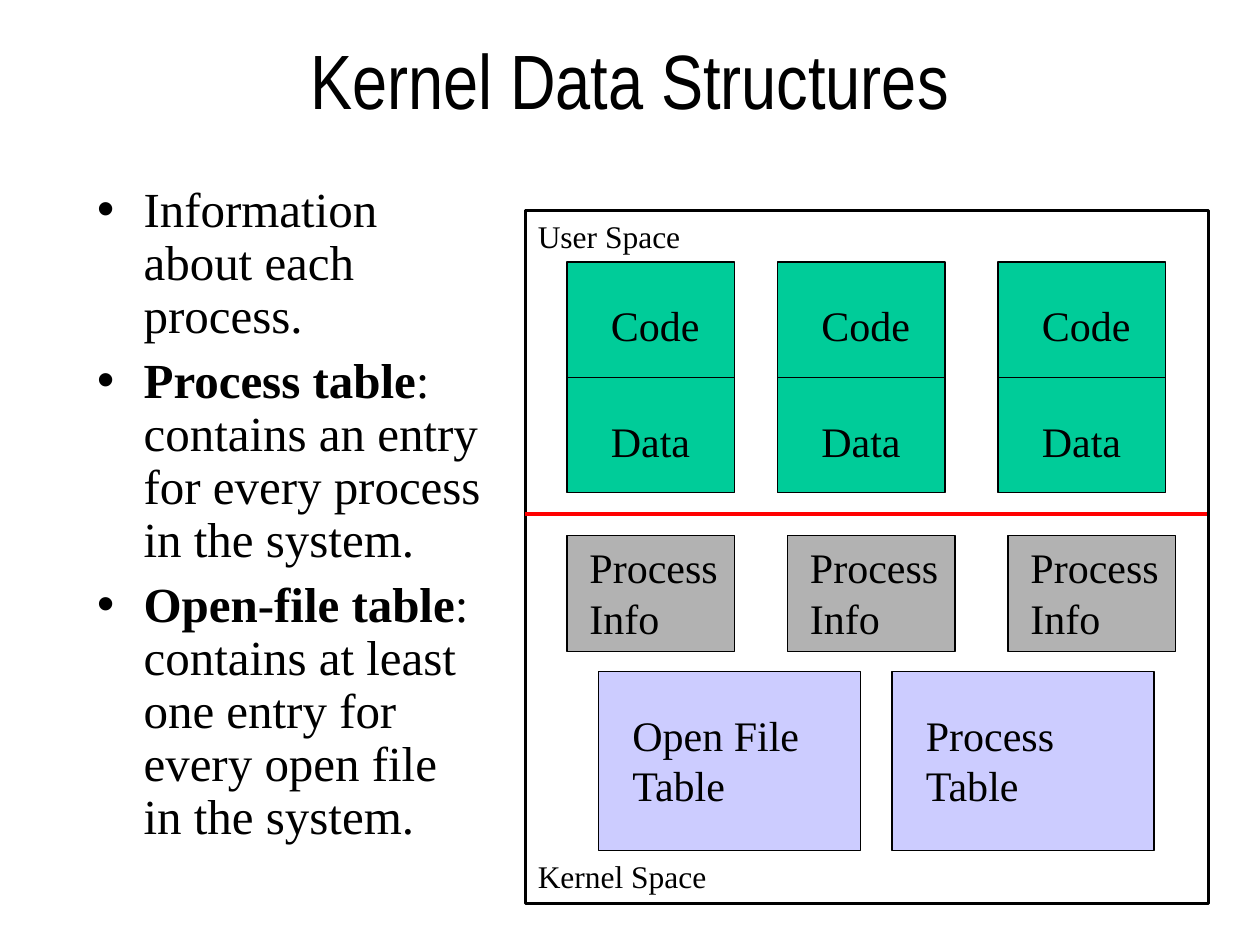
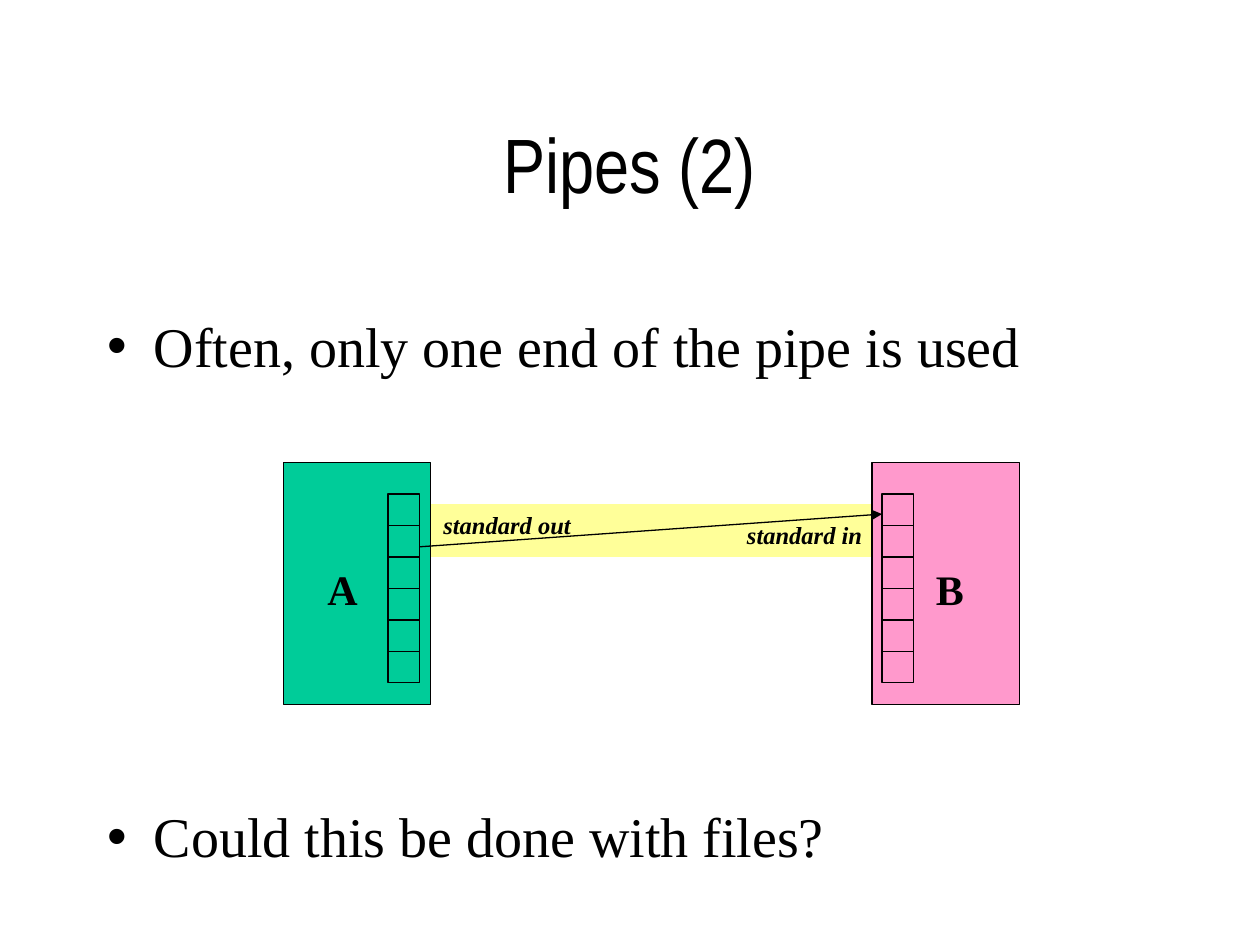
import pptx
import pptx.dml.color
import pptx.enum.shapes
import pptx.enum.text
import pptx.oxml
import pptx.oxml.ns
import pptx.util
from pptx.util import Inches

TITLE_FONT = "Arial Narrow"
BODY_FONT = "Times New Roman"
BLACK = "000000"
GREEN = "00CC99"
GRAY = "B2B2B2"
LAVENDER = "CCCCFF"
PINK = "FF99CC"
YELLOW = "FFFF99"
RED = "FF0000"
THIN, THICK = 0.75, 2


def color(value):
    return pptx.dml.color.RGBColor.from_string(value)


def style_font(font, size, name=BODY_FONT, bold=None, italic=None):
    font.name = name
    font.size = pptx.util.Pt(size)
    font.color.rgb = color(BLACK)
    font.bold = bold
    font.italic = italic


def place(shape, left, top, width, height):
    shape.left, shape.top = Inches(left), Inches(top)
    shape.width, shape.height = Inches(width), Inches(height)


def add_slide(presentation, title_text, title_top):
    slide = presentation.slides.add_slide(presentation.slide_layouts[1])
    title = slide.shapes.title
    place(title, 0.75, title_top, 8.5, 1.25)
    title.text_frame.text = title_text
    title.text_frame.vertical_anchor = pptx.enum.text.MSO_ANCHOR.MIDDLE
    title.text_frame.auto_size = pptx.enum.text.MSO_AUTO_SIZE.NONE
    paragraph = title.text_frame.paragraphs[0]
    paragraph.alignment = pptx.enum.text.PP_ALIGN.CENTER
    style_font(paragraph.font, 44, TITLE_FONT)
    return slide


def fill_bullets(slide, box, items, size, gap, line_spacing=1.0):
    """Each item is a (bold lead, plain rest) pair; gap is points before it."""
    body = slide.placeholders[1]
    place(body, *box)
    frame = body.text_frame
    frame.auto_size = pptx.enum.text.MSO_AUTO_SIZE.NONE
    for index, (lead, rest) in enumerate(items):
        paragraph = frame.add_paragraph() if index else frame.paragraphs[0]
        style_font(paragraph.font, size)
        paragraph.line_spacing = line_spacing
        paragraph.space_before = pptx.util.Pt(gap if index else 0)
        properties = paragraph._p.get_or_add_pPr()
        properties.set("marL", str(Inches(0.37)))
        properties.set("indent", str(Inches(-0.37)))
        if lead:
            run = paragraph.add_run()
            run.text = lead
            run.font.bold = True
        paragraph.add_run().text = rest


def add_box(shapes, left, top, width, height, fill=None, line_width=THIN):
    box = shapes.add_shape(
        pptx.enum.shapes.MSO_SHAPE.RECTANGLE,
        Inches(left), Inches(top), Inches(width), Inches(height))
    box.shadow.inherit = False
    if fill:
        box.fill.solid()
        box.fill.fore_color.rgb = color(fill)
    else:
        box.fill.background()
    if line_width:
        box.line.color.rgb = color(BLACK)
        box.line.width = pptx.util.Pt(line_width)
    else:
        box.line.fill.background()
    return box


def add_line(shapes, start, end, line_color=BLACK, width=THIN, arrow=False):
    line = shapes.add_connector(
        pptx.enum.shapes.MSO_CONNECTOR.STRAIGHT,
        *(Inches(value) for value in (*start, *end)))
    line.line.color.rgb = color(line_color)
    line.line.width = pptx.util.Pt(width)
    if arrow:
        pptx.oxml.ns.qn("a:tailEnd")
        head = pptx.oxml.parse_xml(
            f'<a:tailEnd {pptx.oxml.ns.nsdecls("a")} type="triangle"/>')
        line.line._get_or_add_ln().append(head)
    line._element.spPr.append(pptx.oxml.parse_xml(
        f'<a:effectLst {pptx.oxml.ns.nsdecls("a")}/>'))
    return line


def add_label(slide, text, left, top, width, height, size=24, **style):
    label = slide.shapes.add_textbox(
        Inches(left), Inches(top), Inches(width), Inches(height))
    label.text_frame.word_wrap = True
    label.text_frame.text = text
    style_font(label.text_frame.paragraphs[0].font, size, **style)


def add_user_process(slide, left):
    box = add_box(slide.shapes, left, 2.08, 1.33, 1.83, GREEN)
    divider = add_line(slide.shapes, (left, 3), (left + 1.33, 3))
    divider.begin_connect(box, 1)
    divider.end_connect(box, 3)
    add_label(slide, "Code", left + 0.25, 2.33, 1.58, 0.5)
    add_label(slide, "Data", left + 0.25, 3.25, 1.58, 0.5)


def add_descriptor_column(slide, left, top=3.92, cell=0.25, cells=6):
    group = slide.shapes.add_group_shape()
    add_box(group.shapes, left, top, cell, cell * cells)
    for row in range(1, cells):
        y = top + row * cell
        add_line(group.shapes, (left, y), (left + cell, y))


def build_kernel_slide(presentation):
    slide = add_slide(presentation, "Kernel Data Structures", 0)
    fill_bullets(slide, (0.67, 1.42, 3.25, 5.75), [
        ("", "Information about each process."),
        ("Process table", ": contains an entry for every process in the system."),
        ("Open-file table",
         ": contains at least one entry for every open file in the system."),
    ], size=28, gap=7, line_spacing=0.9)

    # User space above the red line, kernel space below
    for left in (4.5, 6.17, 7.92):
        add_user_process(slide, left)
    add_box(slide.shapes, 4.17, 1.67, 5.42, 5.5, line_width=THICK)
    add_line(slide.shapes, (4.17, 4.08), (9.58, 4.08), RED, THICK)
    for column in range(3):
        left = 4.5 + 1.75 * column
        add_box(slide.shapes, left, 4.25, 1.33, 0.92, GRAY)
        add_label(slide, "Process Info", left + 0.08, 4.25, 1.25, 0.9)
    for left, name in ((4.75, "Open File Table"), (7.08, "Process Table")):
        add_box(slide.shapes, left, 5.33, 2.08, 1.42, LAVENDER)
        add_label(slide, name, left + 0.17, 5.58, 1.75, 0.9)
    for top, name in ((1.67, "User Space"), (6.75, "Kernel Space")):
        add_label(slide, name, 4.17, top, 2.67, 0.4, size=18)


def build_pipes_slide(presentation):
    slide = add_slide(presentation, "Pipes (2)", 0.67)
    # The large gap leaves room for the diagram between the bullets
    fill_bullets(slide, (0.75, 2.42, 8.5, 4.58), [
        ("", "Often, only one end of the pipe is used"),
        ("", "Could this be done with files?"),
    ], size=32, gap=242)

    # Pipe, then the two processes with their descriptor columns
    add_box(slide.shapes, 3.42, 4, 3.5, 0.42, YELLOW, line_width=None)
    for name, left, fill, label_left, column_left in (
            ("A", 2.25, GREEN, 2.5, 3.08), ("B", 6.92, PINK, 7.33, 7)):
        add_box(slide.shapes, left, 3.67, 1.17, 1.92, fill)
        add_label(slide, name, label_left, 4.42, 1.08, 0.5, bold=True)
        add_descriptor_column(slide, column_left)
    add_line(slide.shapes, (3.33, 4.34), (7, 4.08), arrow=True)
    for text, left, top in (("standard out", 3.42, 4), ("standard in", 5.83, 4.08)):
        add_label(slide, text, left, top, 1.25, 0.34, size=14,
                  bold=True, italic=True)


def main():
    presentation = pptx.Presentation()
    presentation.slide_width = Inches(10)
    presentation.slide_height = Inches(7.5)
    build_kernel_slide(presentation)
    build_pipes_slide(presentation)
    presentation.save("out.pptx")


if __name__ == "__main__":
    main()
